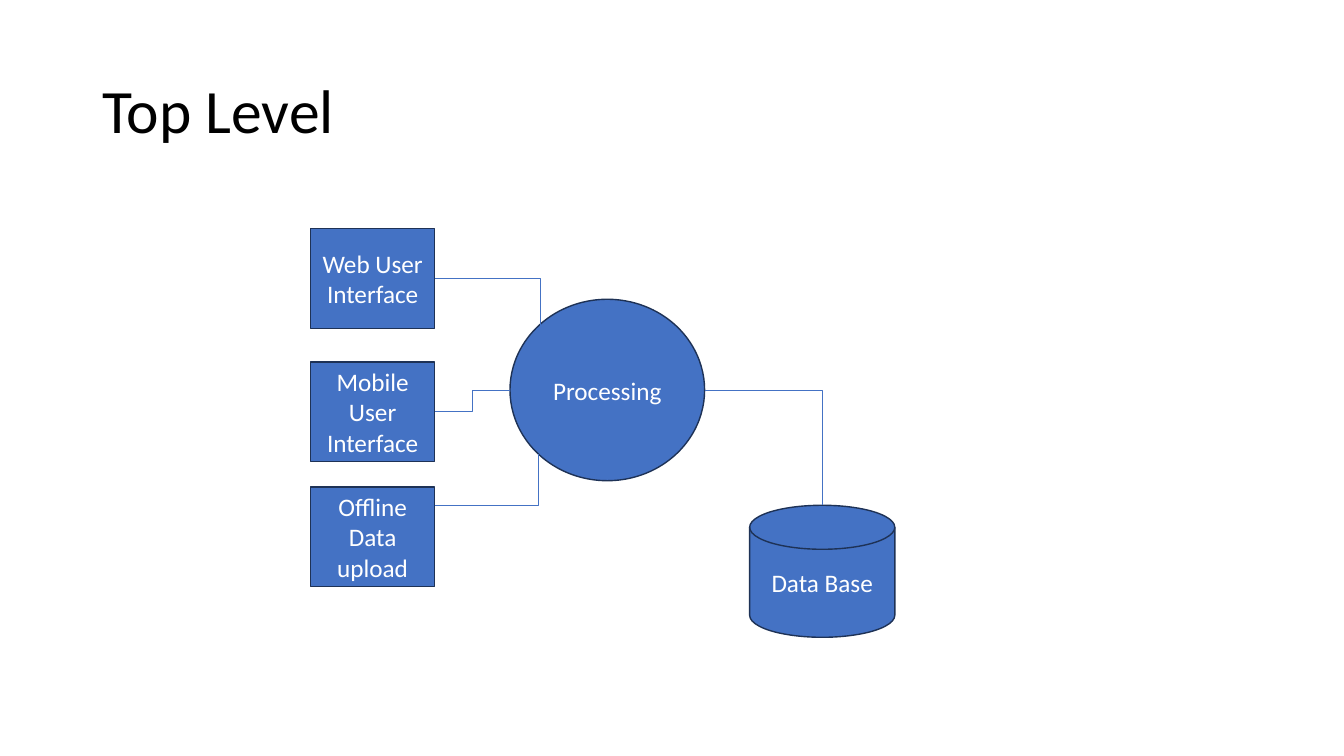
from pptx import Presentation
from pptx.dml.color import RGBColor
from pptx.enum.shapes import MSO_CONNECTOR, MSO_SHAPE
from pptx.enum.text import MSO_ANCHOR, PP_ALIGN
from pptx.oxml.ns import qn
from pptx.util import Pt
from lxml import etree

BLUE = RGBColor(0x44, 0x72, 0xC4)
NAVY = RGBColor(0x1E, 0x32, 0x56)
WHITE = RGBColor(0xFF, 0xFF, 0xFF)
BLACK = RGBColor(0x00, 0x00, 0x00)
FONT = "Calibri"
ELBOW = MSO_CONNECTOR.ELBOW
ELLIPSE = MSO_SHAPE.OVAL
RECTANGLE = MSO_SHAPE.RECTANGLE
DISK = MSO_SHAPE.FLOWCHART_MAGNETIC_DISK
MIDDLE = MSO_ANCHOR.MIDDLE
CENTER = PP_ALIGN.CENTER
LEFT = PP_ALIGN.LEFT

INPUT_LEFT, INPUT_WIDTH, INPUT_HEIGHT = 221.9, 88.6, 71.3
INPUT_RIGHT = INPUT_LEFT + INPUT_WIDTH
INPUTS = [
    ("Web User Interface", 163.4),
    ("Mobile User Interface", 258.5),
    ("Offline Data upload", 347.8),
]
LINKS = [
    ((INPUT_RIGHT, 199), (394.7, 234), "bentConnector3", 0.898),
    ((INPUT_RIGHT, 294), (364.3, 278.6), "bentConnector3", 0.5),
    ((INPUT_RIGHT, 360.9), (384.6, 324.6), "bentConnector2", None),
    ((503.3, 278.6), (587.2, 360.9), "bentConnector2", None),
]


def write_text(shape, text, size, color, alignment):
    """Write one wrapped, vertically centred paragraph and return it."""
    frame = shape.text_frame
    frame.word_wrap = True
    frame.vertical_anchor = MIDDLE
    para = frame.paragraphs[0]
    para.alignment = alignment
    span = para.add_run()
    span.text = text
    span.font.name = FONT
    span.font.size = Pt(size)
    span.font.color.rgb = color
    return para


def add_title(page, text):
    """Add the slide title."""
    box = page.shapes.add_textbox(Pt(66), Pt(28.8), Pt(828), Pt(104.4))
    para = write_text(box, text, 44, BLACK, LEFT)
    para.line_spacing = 0.9


def add_node(page, kind, text, left, top, width, height):
    """Add one labelled diagram shape."""
    node = page.shapes.add_shape(kind, Pt(left), Pt(top), Pt(width), Pt(height))
    node.shadow.inherit = False
    node.fill.solid()
    node.fill.fore_color.rgb = BLUE
    node.line.color.rgb = NAVY
    node.line.width = Pt(1)
    write_text(node, text, 18, WHITE, CENTER)


def add_link(page, start, end, preset, bend):
    """Add an elbow connector, with its bend as a share of the width."""
    link = page.shapes.add_connector(ELBOW, *map(Pt, start + end))
    link.line.color.rgb = BLUE
    link.line.width = Pt(0.5)
    properties = link._element.spPr
    etree.SubElement(properties, qn("a:effectLst"))
    geometry = properties.find(qn("a:prstGeom"))
    geometry.set("prst", preset)
    if bend is not None:
        guides = geometry.find(qn("a:avLst"))
        guide = etree.SubElement(guides, qn("a:gd"))
        guide.set("name", "adj1")
        guide.set("fmla", f"val {round(bend * 100000)}")


def main():
    """Build and save the top-level diagram."""
    deck = Presentation()
    deck.slide_width = Pt(960)
    deck.slide_height = Pt(540)
    page = deck.slides.add_slide(deck.slide_layouts[6])
    add_node(page, ELLIPSE, "Processing", 364.3, 213.8, 139, 129.6)
    for text, top in INPUTS:
        add_node(page, RECTANGLE, text, INPUT_LEFT, top, INPUT_WIDTH, INPUT_HEIGHT)
    add_node(page, DISK, "Data Base", 535.5, 360.9, 103.7, 94.3)
    for link in LINKS:
        add_link(page, *link)
    add_title(page, "Top Level")
    deck.save("out.pptx")


if __name__ == "__main__":
    main()
